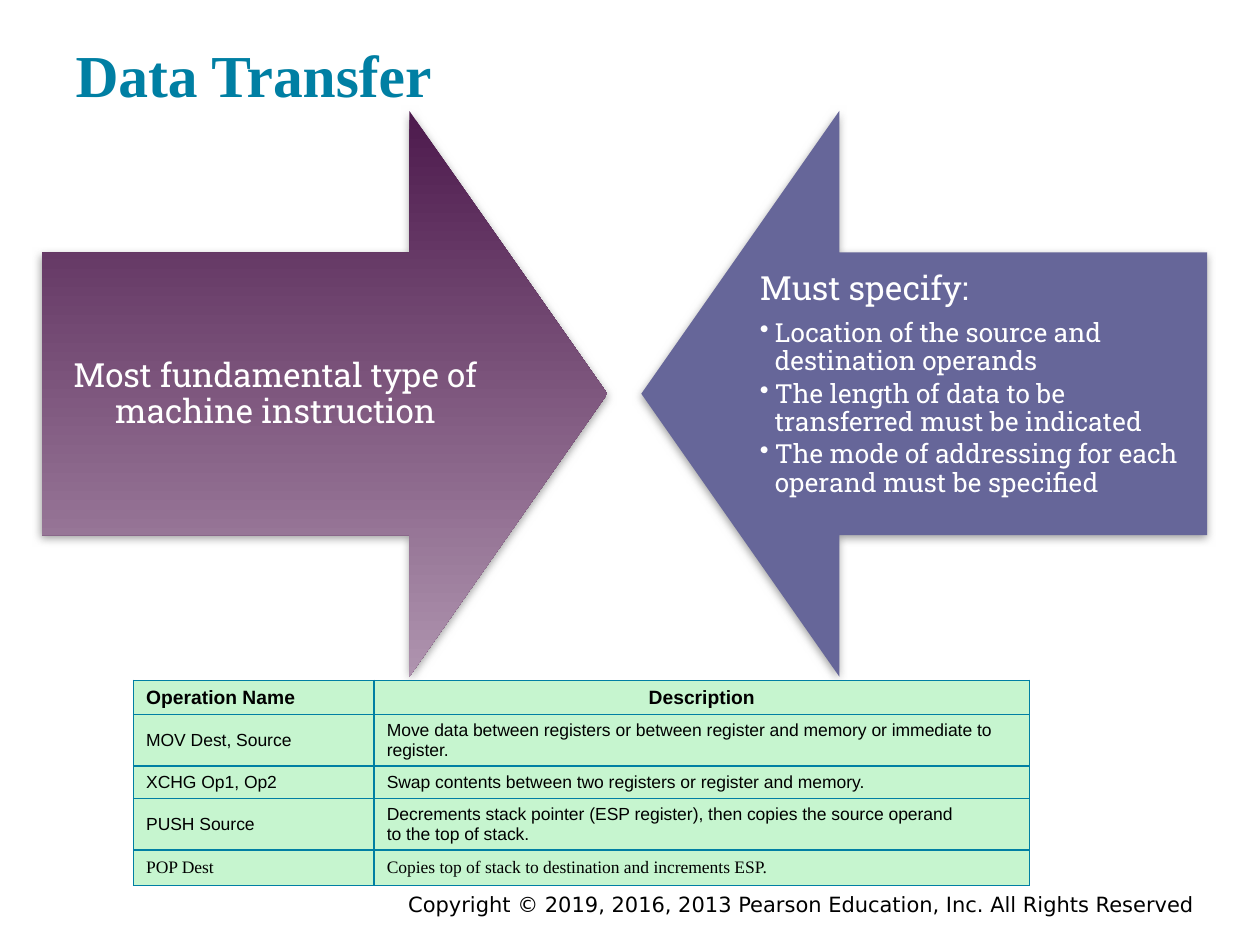
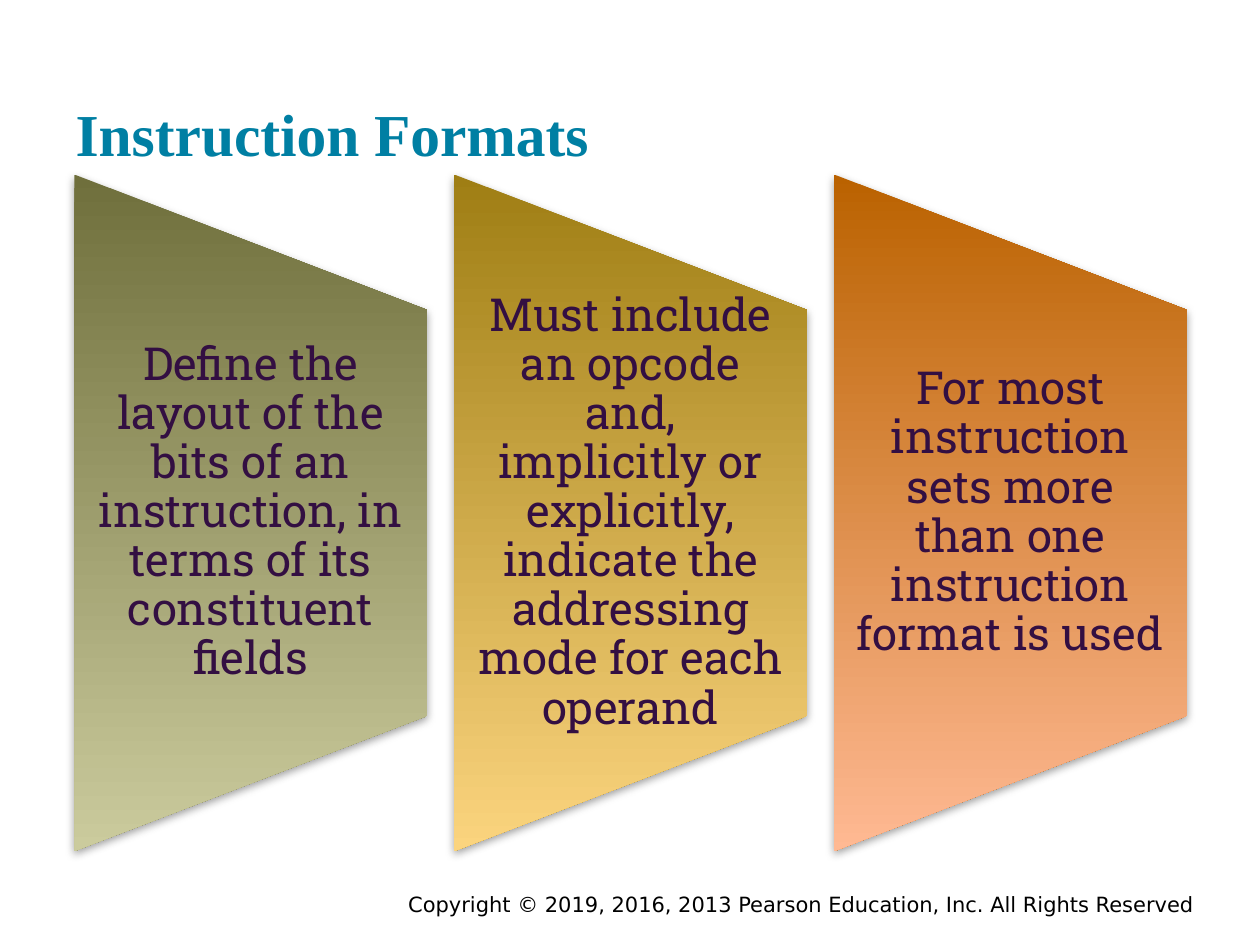
from lxml import etree
from pptx import Presentation
from pptx.dml.color import RGBColor
from pptx.enum.shapes import MSO_SHAPE as Shape
from pptx.enum.text import MSO_ANCHOR as Anchor, MSO_AUTO_SIZE as AutoSize, PP_ALIGN as Align
from pptx.oxml import parse_xml
from pptx.oxml.ns import nsdecls, qn
from pptx.util import Inches, Pt

TEAL, BLACK, WHITE, PLUM = "007FA3", "000000", "FFFFFF", "330F42"
MINT, VIOLET = "C6F5CF", "666699"
SERIF, SLAB, SANS, FOOTER_FONT = "Times New Roman", "Roboto Slab", "Arial", "DejaVu Sans"
COPYRIGHT = "Copyright © 2019, 2016, 2013 Pearson Education, Inc. All Rights Reserved"

FUNDAMENTAL = "Most fundamental type of machine instruction"
MUST_SPECIFY = "Must specify:"
SPECIFICATIONS = [
    "Location of the source and destination operands",
    "The length of data to be transferred must be indicated",
    "The mode of addressing for each operand must be specified",
]
OPERATIONS = [
    ("Operation Name", "Description"),
    ("MOV Dest, Source",
     "Move data between registers or between register and memory or immediate to register."),
    ("XCHG Op1, Op2", "Swap contents between two registers or register and memory."),
    ("PUSH Source",
     "Decrements stack pointer (ESP register), then copies the source operand\vto the top of stack."),
    ("POP Dest", "Copies top of stack to destination and increments ESP."),
]
COLUMN_WIDTHS = (1.91, 5.2)
ROW_HEIGHTS = (0.25, 0.37, 0.23, 0.28, 0.28)

FORMAT_PANELS = [
    ("Define the layout of the bits of an instruction, in terms of its constituent fields",
     ("6F6F3C", "CBCB9D")),
    ("Must include an opcode and, implicitly or explicitly, indicate the addressing mode "
     "for each operand", ("9F7E14", "FBD47E")),
    ("For most instruction sets more than one instruction format is used",
     ("BA6200", "FFB993")),
]


def rgb(hex_color):
    return RGBColor.from_string(hex_color)


def set_font(paragraph, name, size, color, bold=False):
    font = paragraph.font
    font.name, font.size, font.bold = name, Pt(size), bold
    font.color.rgb = rgb(color)


def set_frame(frame, anchor, inset_x, inset_y):
    frame.word_wrap = True
    frame.auto_size = AutoSize.NONE
    frame.vertical_anchor = anchor
    frame.margin_left = frame.margin_right = Inches(inset_x)
    frame.margin_top = frame.margin_bottom = Inches(inset_y)


def add_text(slide, box, text, font, align=Align.LEFT, anchor=Anchor.TOP,
             insets=(0.1, 0.05), line_spacing=None):
    frame = slide.shapes.add_textbox(*map(Inches, box)).text_frame
    set_frame(frame, anchor, *insets)
    paragraph = frame.paragraphs[0]
    paragraph.text, paragraph.alignment = text, align
    paragraph.line_spacing = line_spacing
    set_font(paragraph, *font)
    return frame


def add_bullet(frame, text, font):
    paragraph = frame.add_paragraph()
    paragraph.text, paragraph.level = text, 1
    paragraph.line_spacing, paragraph.space_after = 0.9, Pt(2.25)
    properties = paragraph._p.get_or_add_pPr()
    properties.set("marL", str(Inches(0.12)))
    properties.set("indent", str(-Inches(0.12)))
    etree.SubElement(properties, qn("a:buChar")).set("char", "•")
    set_font(paragraph, *font)


def add_turned_shape(slide, preset, box, rotation, colors):
    """Add a rotated shape with a soft shadow; two colours run from top to bottom."""
    shape = slide.shapes.add_shape(preset, *map(Inches, box))
    shape.rotation = rotation
    shape.line.fill.background()
    if len(colors) == 1:
        shape.fill.solid()
        shape.fill.fore_color.rgb = rgb(colors[0])
    else:
        shape.fill.gradient()
        shape.fill.gradient_angle = 270
        for stop, color in zip(shape.fill.gradient_stops, colors):
            stop.color.rgb = rgb(color)
        shape._element.spPr.find(qn("a:gradFill")).set("rotWithShape", "0")
    shape.shadow.inherit = False
    shape._element.spPr.find(qn("a:effectLst")).append(parse_xml(
        f'<a:outerShdw {nsdecls("a")} blurRad="{Pt(5)}" dist="{Pt(2)}" dir="5400000" '
        'rotWithShape="0"><a:srgbClr val="808080"><a:alpha val="75000"/></a:srgbClr>'
        '</a:outerShdw>'))
    return shape


def add_borders(cell):
    for side in "LRTB":
        cell._tc.get_or_add_tcPr().append(parse_xml(
            f'<a:ln{side} {nsdecls("a")} w="{Pt(1)}"><a:solidFill>'
            f'<a:srgbClr val="{TEAL}"/></a:solidFill></a:ln{side}>'))


def add_operations_table(slide):
    table = slide.shapes.add_table(
        len(OPERATIONS), len(COLUMN_WIDTHS), Inches(1.06), Inches(5.4),
        Inches(sum(COLUMN_WIDTHS)), Inches(sum(ROW_HEIGHTS))).table
    table.first_row = table.horz_banding = False
    for column, width in zip(table.columns, COLUMN_WIDTHS):
        column.width = Inches(width)
    for row, height in zip(table.rows, ROW_HEIGHTS):
        row.height = Inches(height)
    last = len(OPERATIONS) - 1
    for r, operation in enumerate(OPERATIONS):
        header = r == 0
        for c, text in enumerate(operation):
            cell = table.cell(r, c)
            add_borders(cell)
            cell.fill.solid()
            cell.fill.fore_color.rgb = rgb(MINT)
            cell.vertical_anchor = Anchor.MIDDLE
            cell.text = text
            paragraph = cell.text_frame.paragraphs[0]
            paragraph.alignment = Align.CENTER if header and c == 1 else Align.LEFT
            set_font(paragraph, SERIF if r == last else SANS, 11 if header else 10,
                     BLACK, header)


def add_slide(deck, title, top, height, inset_y):
    slide = deck.slides.add_slide(deck.slide_layouts[5])
    add_text(slide, (1.75, 7.03, 7.83, 0.22), COPYRIGHT, (FOOTER_FONT, 12, BLACK), Align.RIGHT)
    heading = slide.shapes.title
    heading.left, heading.top, heading.width, heading.height = map(
        Inches, (0.5, top, 9, height))
    heading.text = title
    set_frame(heading.text_frame, Anchor.BOTTOM, 0.1, inset_y)
    paragraph = heading.text_frame.paragraphs[0]
    paragraph.alignment = Align.LEFT
    set_font(paragraph, SERIF, 34, TEAL, True)
    return slide


def build_data_transfer(deck):
    slide = add_slide(deck, "Data Transfer", 0.27, 0.65, 0.05)
    arrow_size, text_size = (4.49, 4.49), (3.71, 2.25)
    lead_font, insets = (SLAB, 19, WHITE), (0.15, 0.15)
    for left, rotation, colors in ((0.33, 270, ("4D1A4D", "AF94AF")), (5.09, 90, (VIOLET,))):
        arrow = add_turned_shape(slide, Shape.DOWN_ARROW, (left, 0.88, *arrow_size),
                                 rotation, colors)
        arrow.adjustments[0], arrow.adjustments[1] = 0.5, 0.35
    add_text(slide, (0.33, 2.01, *text_size), FUNDAMENTAL, lead_font,
             Align.CENTER, Anchor.MIDDLE, insets, 0.9)
    requirements = add_text(slide, (5.88, 2.01, *text_size), MUST_SPECIFY, lead_font,
                            insets=insets, line_spacing=0.9)
    requirements.paragraphs[0].space_after = Pt(6.65)
    for specification in SPECIFICATIONS:
        add_bullet(requirements, specification, (SLAB, 15, WHITE))
    add_operations_table(slide)


def build_instruction_formats(deck):
    slide = add_slide(deck, "Instruction Formats", 0.24, 1.2, 0.1)
    length, width, pitch, middle = 5.37, 2.8, 3.015, 4.07
    for i, (text, colors) in enumerate(FORMAT_PANELS):
        left = 0.59 + i * pitch
        turned_box = (left + (width - length) / 2, middle - width / 2, length, width)
        add_turned_shape(slide, Shape.FLOWCHART_MANUAL_OPERATION, turned_box, 270, colors)
        add_text(slide, (left, middle - 1.61, width, 3.22), text, (SLAB, 26, PLUM),
                 Align.CENTER, Anchor.MIDDLE, (0.18, 0), 0.9)


def main():
    deck = Presentation()
    deck.slide_width, deck.slide_height = Inches(10), Inches(7.5)
    build_data_transfer(deck)
    build_instruction_formats(deck)
    deck.save("out.pptx")


if __name__ == "__main__":
    main()
